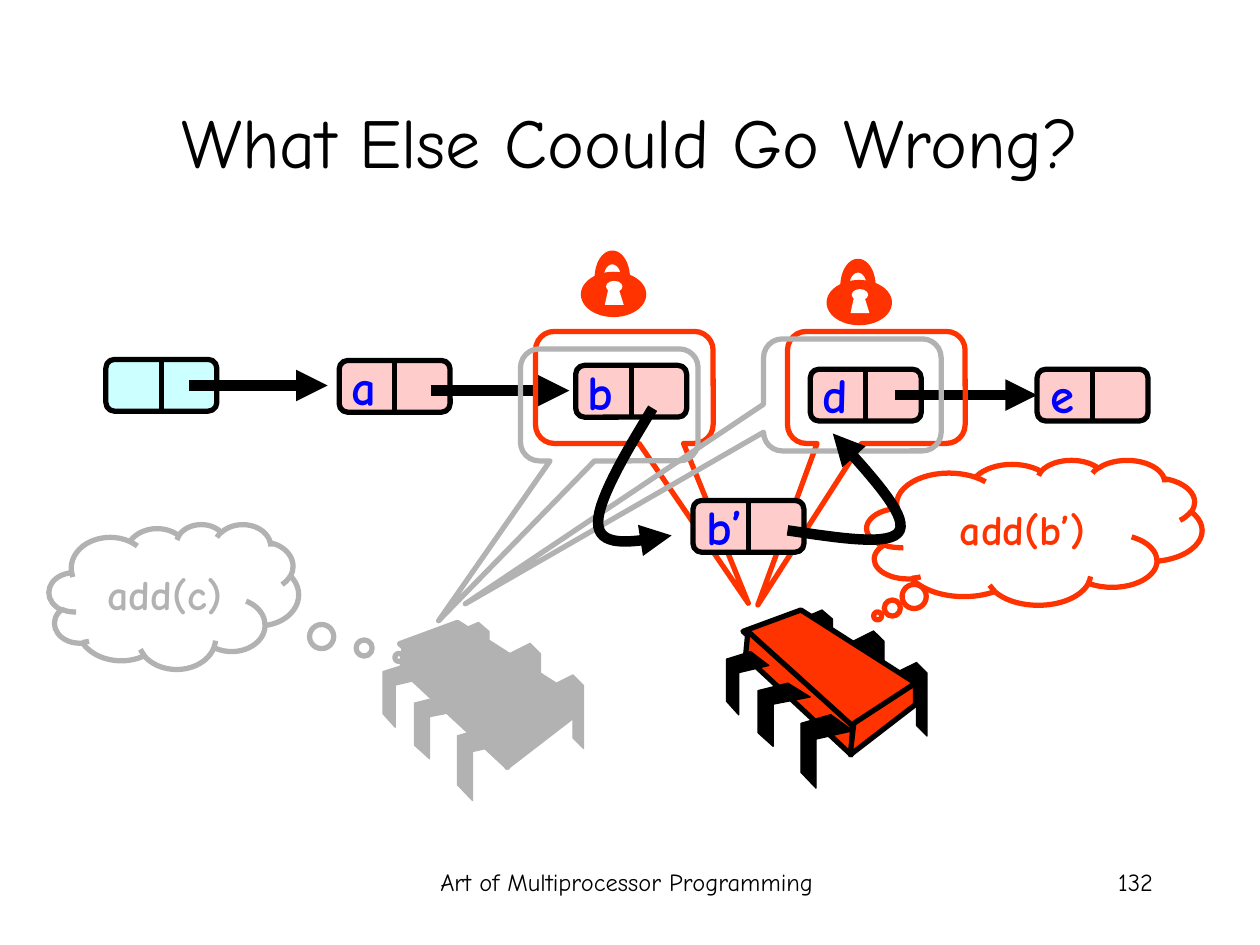
from lxml.etree import SubElement
from pptx import Presentation
from pptx.dml.color import RGBColor
from pptx.enum.shapes import MSO_CONNECTOR, MSO_SHAPE
from pptx.enum.text import MSO_ANCHOR, PP_ALIGN
from pptx.oxml.ns import qn
from pptx.util import Pt

BLACK, WHITE, BLUE = "000000", "FFFFFF", "0000FF"
RED, GRAY, PINK, CYAN = "FF3300", "B2B2B2", "FFCCCC", "CCFFFF"
NODE_W, NODE_H = 63.4, 29.6


def hue(code):
    return RGBColor.from_string(code)


def write(frame, text, size=14, color=BLACK, bold=False, align=PP_ALIGN.CENTER,
          anchor=MSO_ANCHOR.TOP, wrap=True):
    frame.word_wrap = wrap
    frame.vertical_anchor = anchor
    para = frame.paragraphs[0]
    para.alignment = align
    run = para.add_run()
    run.text = text
    run.font.name = "Comic Neue"
    run.font.size = Pt(size)
    run.font.bold = bold
    run.font.color.rgb = hue(color)


def trace(steps, count=16):
    points = [steps[0]]
    for step in steps[1:]:
        if len(step) == 2:
            points.append(step)
            continue
        start, one, two, end = points[-1], step[:2], step[2:4], step[4:]
        for i in range(1, count + 1):
            t = i / count
            u = 1 - t
            points.append(tuple(
                u**3 * a + 3 * u * u * t * b + 3 * u * t * t * c + t**3 * d
                for a, b, c, d in zip(start, one, two, end)))
    return points


class Board:
    def __init__(self, slide):
        self.slide = slide
        self.pen = slide.shapes

    def group(self):
        self.pen = self.slide.shapes.add_group_shape().shapes

    def leave(self):
        self.pen = self.slide.shapes

    def style(self, shape, fill, line, width):
        shape.shadow.inherit = False
        if fill:
            shape.fill.solid()
            shape.fill.fore_color.rgb = hue(fill)
        else:
            shape.fill.background()
        if line:
            shape.line.color.rgb = hue(line)
            shape.line.width = Pt(width)
        else:
            shape.line.fill.background()

    def head(self, shape):
        SubElement(shape.line._get_or_add_ln(), qn("a:tailEnd"), type="triangle")

    def text(self, x, y, w, h, words, **form):
        box = self.pen.add_textbox(Pt(x), Pt(y), Pt(w), Pt(h))
        write(box.text_frame, words, **form)

    def shape(self, kind, x, y, w, h, fill=None, line=None, adj=()):
        item = self.pen.add_shape(kind, Pt(x), Pt(y), Pt(w), Pt(h))
        for i, value in enumerate(adj):
            item.adjustments[i] = value
        self.style(item, fill, line, 3)
        return item

    def line(self, x, y, x2, y2, width):
        item = self.pen.add_connector(
            MSO_CONNECTOR.STRAIGHT, Pt(x), Pt(y), Pt(x2), Pt(y2))
        item.line.color.rgb = hue(BLACK)
        item.line.width = Pt(width)
        SubElement(item._element.spPr, qn("a:effectLst"))
        return item

    def arrow(self, x, y, x2):
        item = self.line(x, y, x2, y, 6)
        self.head(item)
        return item

    def free(self, x, y, steps, fill=None, line=None, width=0.75, close=True):
        points = [(Pt(x + a), Pt(y + b)) for a, b in trace(steps)]
        path = self.pen.build_freeform(*points[0])
        path.add_line_segments(points[1:], close=close)
        item = path.convert_to_shape()
        self.style(item, fill, line, width)
        return item

    def curve(self, *steps):
        self.head(self.free(0, 0, steps, line=BLACK, width=6, close=False))

    def node(self, x, y, name="", fill=PINK):
        self.group()
        box = self.shape(MSO_SHAPE.ROUNDED_RECTANGLE, x, y, NODE_W, NODE_H,
                         fill, BLACK, [0.167])
        mid = x + NODE_W / 2
        split = self.line(mid, y, mid, y + NODE_H, 3)
        split.begin_connect(box, 0)
        split.end_connect(box, 2)
        if name:
            self.text(x - 2, y - 6, 30.5 if len(name) == 1 else 37.4, 41, name,
                      size=28, color=BLUE, bold=True, align=PP_ALIGN.RIGHT,
                      wrap=False)
        self.leave()
        return box

    def chip(self, x, y, body, leg, edge):
        back = [(0, 6), (12, 0), (18, 6), (18, 42), (12, 36), (12, 12), (0, 18)]
        front = [(17, 0), (29.8, 9.2), (8.6, 14), (8.6, 42), (0, 33), (0, 5)]
        faces = [
            [(42.5, 0), (108, 41.8), (71.3, 67), (9.4, 12.2)],
            [(12.2, 12.2), (72, 66.2), (71.3, 82.8), (10.8, 26.6)],
            [(108, 41.8), (108, 54), (70.6, 82.8), (72.7, 64.8)],
        ]

        def legs(form, places):
            for dx, dy, sx, sy in places:
                self.free(x + dx, y + dy, [(a * sx, b * sy) for a, b in form],
                          leg, leg)

        self.group()
        legs(back, [(96.5, 30, 1, 1), (72, 12, 1, 1), (42.5, 0, 1, 0.86)])
        for face in faces:
            self.free(x, y, face, body, edge, 3)
        legs(front, [(42.5, 59.8, 1, 1), (18, 41.8, 1, 0.86),
                     (0, 23.8, 0.81, 0.86)])
        self.leave()

    def lock(self, x, y):
        self.group()
        self.shape(MSO_SHAPE.OVAL, x, y, 37.4, 25.9, RED)
        self.shape(MSO_SHAPE.OVAL, x + 14.4, y + 5.2, 9.4, 6.5, WHITE)
        self.free(x, y, [(13.7, 18.9), (15.8, 9.5), (21.6, 9.5), (24.5, 18.9)],
                  WHITE)
        self.free(x, y, [
            (13, 3.6), (13, -0.6, 15.1, -4.2, 18, -4.2),
            (20.9, -4.2, 23, -0.6, 23, 3.6), (28.1, 3.6),
            (28.1, -5, 23.8, -12.1, 18, -12.1),
            (12.2, -12.1, 7.9, -5, 7.9, 3.6)], RED)
        self.leave()

    def cloud(self, x, y, w, words, color, adj):
        item = self.shape(MSO_SHAPE.CLOUD_CALLOUT, x, y, w, 82.8, None, color, adj)
        write(item.text_frame, words, size=24, color=color, bold=True,
              anchor=MSO_ANCHOR.MIDDLE)

    def hold(self, x, y, color, dx, dy):
        self.shape(MSO_SHAPE.ROUNDED_RECTANGULAR_CALLOUT, x, y, 101.5, 64, None,
                   color, [dx, dy, 0.167])


def main():
    deck = Presentation()
    deck.slide_width, deck.slide_height = Pt(720), Pt(540)
    slide = deck.slides.add_slide(deck.slide_layouts[5])
    board = Board(slide)

    title = slide.shapes.title
    title.left, title.top, title.width, title.height = map(Pt, (54, 35.3, 612, 90))
    write(title.text_frame, "What Else Coould Go Wrong?", size=40,
          anchor=MSO_ANCHOR.MIDDLE)
    board.text(223.2, 491.8, 270, 36, "Art of Multiprocessor Programming")
    board.text(516.2, 491.8, 149.8, 36, "132", align=PP_ALIGN.RIGHT)

    board.node(60.5, 205.4, fill=CYAN)
    board.node(193.8, 206, "a")
    board.node(329, 208.8, "b")
    board.node(463, 211, "d")
    last = board.node(592.6, 211, "e")
    board.arrow(108, 220.3, 187.2)
    board.arrow(246.2, 223.2, 325.4)
    board.arrow(511.2, 225.8, 592.6).end_connect(last, 1)

    board.chip(218.9, 355.7, GRAY, GRAY, GRAY)
    board.cloud(28, 299.5, 142.6, "add(c)", GRAY, [0.902, 0.42])
    board.lock(472.3, 160)
    board.lock(331.9, 155.3)
    board.chip(415.2, 348.6, RED, BLACK, BLACK)
    board.cloud(495.4, 262.8, 191.5, "add(b’)", RED, [-0.468, 0.577])

    for spot in [(306, 189.4, RED, 0.698, 1.927),
                 (450, 189.4, RED, -0.667, 1.942),
                 (297.4, 199.4, GRAY, -0.961, 1.927),
                 (436.3, 193.7, GRAY, -2.179, 1.865)]:
        board.hold(*spot)

    board.node(396, 286, "b’")
    board.curve((373, 233.3), (356.4, 260.6, 339.8, 288.7, 342, 301),
                (344.2, 313.2, 363.6, 309.6, 383.8, 306))
    board.curve((450, 303.1), (479.5, 307.4, 509.8, 312.5, 514.1, 303.1),
                (518.4, 293.8, 496.8, 270.7, 475.9, 247.7))

    deck.save("out.pptx")


if __name__ == "__main__":
    main()
